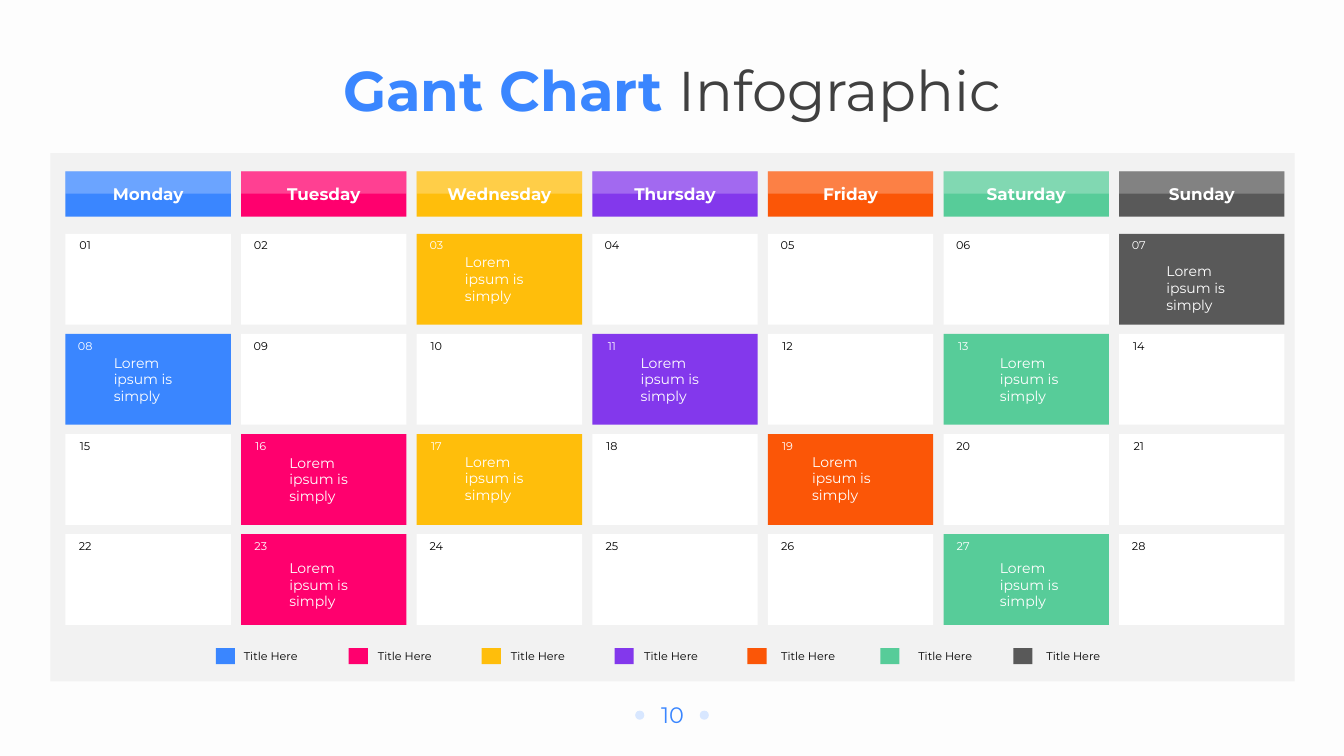
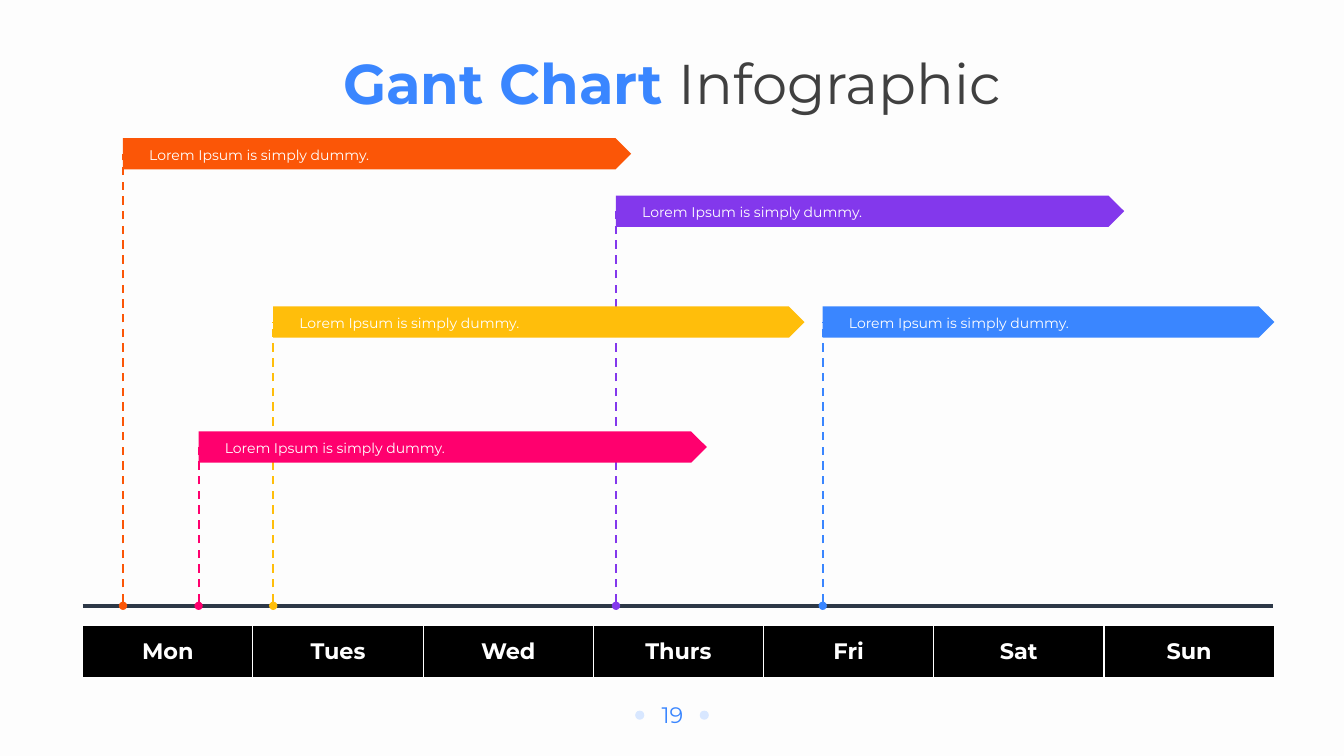
"""Build a weekly calendar slide and a Gantt bar slide."""
from dataclasses import dataclass

from lxml.etree import SubElement
from pptx import Presentation
from pptx.dml.color import RGBColor
from pptx.enum.dml import MSO_LINE
from pptx.enum.shapes import MSO_CONNECTOR, MSO_SHAPE
from pptx.enum.text import MSO_ANCHOR, MSO_AUTO_SIZE, PP_ALIGN
from pptx.oxml.ns import qn
from pptx.util import Inches, Pt


@dataclass(frozen=True)
class Theme:
    font: str = "Montserrat"
    back: str = "FDFDFD"
    panel: str = "F2F2F2"
    white: str = "FFFFFF"
    black: str = "000000"
    dark: str = "404040"
    axis: str = "2D3847"
    dot: str = "D8E7FF"
    blue: str = "3A86FF"
    pink: str = "FF006E"
    gold: str = "FFBE0B"
    purple: str = "8338EC"
    orange: str = "FB5607"
    green: str = "57CC99"
    gray: str = "595959"
    title: int = 40
    large: int = 16
    head: int = 12
    body: int = 10
    small: int = 8


T = Theme()
DAYS = {
    "Monday": T.blue, "Tuesday": T.pink, "Wednesday": T.gold,
    "Thursday": T.purple, "Friday": T.orange, "Saturday": T.green,
    "Sunday": T.gray,
}
EVENTS = {
    3: (0.38, 0.15), 7: (0.37, 0.24), 8: (0.38, 0.15), 11: (0.38, 0.15),
    13: (0.46, 0.15), 16: (0.38, 0.15), 17: (0.38, 0.14), 19: (0.34, 0.14),
    23: (0.38, 0.2), 27: (0.46, 0.2),
}
LABELS = [2.32, 3.65, 4.97, 6.29, 7.65, 9.01, 10.28]
BARS = [
    (6.11, 1.94, 5.04, T.purple),
    (2.71, 3.04, 5.27, T.gold),
    (1.22, 1.37, 5.04, T.orange),
    (1.97, 4.28, 5.04, T.pink),
    (8.16, 3.04, 4.48, T.blue),
]
WEEK = ["Mon", "Tues", "Wed", "Thurs", "Fri", "Sat", "Sun"]


def rgb(color):
    return RGBColor.from_string(color)


def write(frame, text, size=T.body, color=T.white, bold=False, align=PP_ALIGN.LEFT):
    para = frame.paragraphs[0]
    para.alignment = align
    run = para.add_run()
    run.text = text
    font = run.font
    font.name, font.size, font.bold = T.font, Pt(size), bold
    font.color.rgb = rgb(color)


def label(slide, box, text, side=0.1, **style):
    frame = slide.shapes.add_textbox(*map(Inches, box)).text_frame
    frame.word_wrap = True
    frame.margin_left = frame.margin_right = Inches(side)
    write(frame, text, **style)


def block(slide, box, color, kind=MSO_SHAPE.RECTANGLE, alpha=None):
    shape = slide.shapes.add_shape(kind, *map(Inches, box))
    shape.shadow.inherit = False
    shape.fill.solid()
    shape.fill.fore_color.rgb = rgb(color)
    shape.line.fill.background()
    if alpha is not None:
        tint = shape.element.spPr.find(qn("a:solidFill"))[0]
        SubElement(tint, qn("a:alpha"), val=str(alpha * 1000))
    return shape


def rule(slide, start, end, color, width, dash=False, target=None):
    line = slide.shapes.add_connector(
        MSO_CONNECTOR.STRAIGHT, *map(Inches, (*start, *end)))
    line.line.color.rgb = rgb(color)
    line.line.width = Pt(width)
    props = line.element.spPr
    if dash:
        line.line.dash_style = MSO_LINE.DASH
        SubElement(props.find(qn("a:ln")), qn("a:headEnd"), type="oval")
    SubElement(props, qn("a:effectLst"))
    if target is not None:
        line.end_connect(target, 1)


def base(deck, number, top):
    slide = deck.slides.add_slide(deck.slide_layouts[5])
    title = slide.shapes.title
    title.left, title.top, title.width, title.height = map(
        Inches, (3.25, top, 6.83, 0.77))
    frame = title.text_frame
    frame.auto_size = MSO_AUTO_SIZE.NONE
    frame.vertical_anchor = MSO_ANCHOR.TOP
    center = PP_ALIGN.CENTER
    write(frame, "Gant Chart ", size=T.title, color=T.blue, bold=True, align=center)
    write(frame, "Infographic", size=T.title, color=T.dark, align=center)
    label(slide, (6.36, 6.91, 0.62, 0.37), str(number),
          size=T.large, color=T.blue, align=center)
    for left in (6.3, 6.94):
        block(slide, (left, 7.05, 0.09, 0.09), T.dot, MSO_SHAPE.OVAL)
    return slide


def header(slide, left, name, color):
    shape = block(slide, (left, 1.7, 1.64, 0.45), color)
    shape.text_frame.vertical_anchor = MSO_ANCHOR.MIDDLE
    write(shape.text_frame, name, size=T.head, bold=True, align=PP_ALIGN.CENTER)
    block(slide, (left, 1.7, 1.64, 0.22), T.white, alpha=25)


def day(slide, left, top, number, color):
    event = EVENTS.get(number)
    block(slide, (left, top, 1.64, 0.9), color if event else T.white)
    label(slide, (left + 0.01, top, 0.37, 0.27), f"{number:02}", side=0,
          size=T.small, color=T.white if event else T.black,
          align=PP_ALIGN.CENTER)
    if event:
        label(slide, (left + event[0], top + event[1], 1.08, 0.6),
              "Lorem ipsum is simply")


def calendar(deck):
    slide = base(deck, 10, 0.5)
    block(slide, (0.5, 1.52, 12.34, 5.24), T.panel)
    for col, (name, color) in enumerate(DAYS.items()):
        left = 0.65 + col * 10.45 / 6
        header(slide, left, name, color)
        for row in range(4):
            day(slide, left, 2.32 + row * 2.98 / 3, row * 7 + col + 1, color)
        block(slide, (2.14 + col * 7.91 / 6, 6.43, 0.19, 0.16), color)
        label(slide, (LABELS[col], 6.39, 0.8, 0.19), "Title Here",
              size=T.small, color=T.black)


def bar(slide, left, top, width, color):
    shape = block(slide, (left, top, width, 0.31), color, MSO_SHAPE.PENTAGON)
    frame = shape.text_frame
    frame.vertical_anchor = MSO_ANCHOR.MIDDLE
    frame.margin_left = Inches(0.26)
    frame.margin_top, frame.margin_bottom = Inches(0.02), 0
    write(frame, "Lorem Ipsum is simply dummy.")
    rule(slide, (left, 6.01), (left, top), color, 1.5, dash=True, target=shape)


def border(cell):
    props = cell._tc.get_or_add_tcPr()
    for side in ("lnL", "lnR", "lnT", "lnB"):
        edge = SubElement(props, qn(f"a:{side}"), w=str(Pt(1)))
        fill = SubElement(edge, qn("a:solidFill"))
        SubElement(fill, qn("a:srgbClr"), val=T.white)


def week(slide):
    table = slide.shapes.add_table(
        1, len(WEEK), *map(Inches, (0.82, 6.2, 11.82, 0.52))).table
    table.first_row = table.horz_banding = False
    for cell, name in zip(table.iter_cells(), WEEK):
        border(cell)
        cell.fill.solid()
        cell.fill.fore_color.rgb = rgb(T.black)
        cell.vertical_anchor = MSO_ANCHOR.MIDDLE
        cell.margin_left = cell.margin_right = Inches(0.05)
        cell.margin_top = cell.margin_bottom = Inches(0.03)
        write(cell.text_frame, name, size=T.large, bold=True,
              align=PP_ALIGN.CENTER)


def gantt(deck):
    slide = base(deck, 19, 0.43)
    week(slide)
    rule(slide, (0.82, 6.01), (12.63, 6.01), T.axis, 3)
    for item in BARS:
        bar(slide, *item)


def main():
    deck = Presentation()
    deck.slide_width, deck.slide_height = Inches(13.33), Inches(7.5)
    fill = deck.slide_master.background.fill
    fill.solid()
    fill.fore_color.rgb = rgb(T.back)
    calendar(deck)
    gantt(deck)
    deck.save("out.pptx")


if __name__ == "__main__":
    main()
